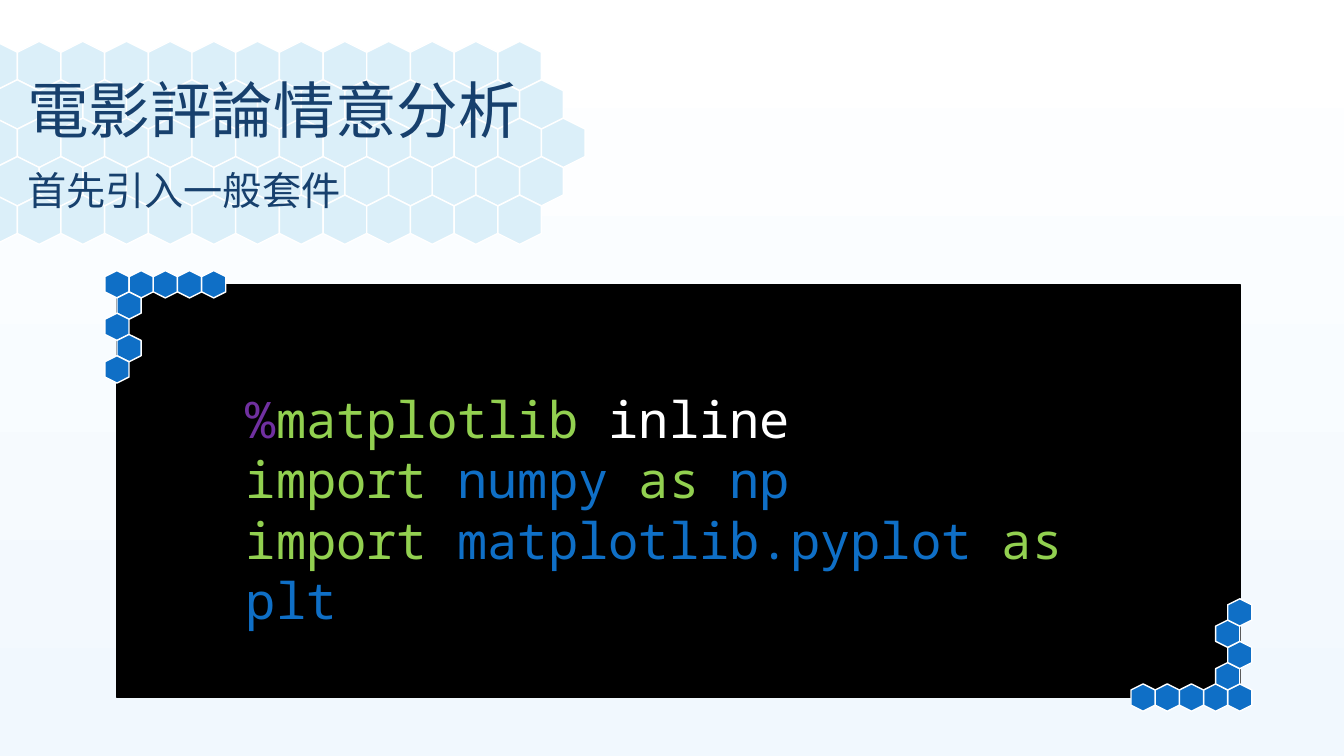
from lxml import etree
from pptx import Presentation
from pptx.dml.color import RGBColor
from pptx.enum.shapes import MSO_SHAPE
from pptx.enum.text import MSO_ANCHOR, PP_ALIGN
from pptx.oxml.ns import qn
from pptx.util import Inches, Pt

WIDTH, HEIGHT = Inches(13.33), Inches(7.5)

WHITE = RGBColor(0xFF, 0xFF, 0xFF)
BLACK = RGBColor(0x00, 0x00, 0x00)
MIST = RGBColor(0xF1, 0xF8, 0xFE)
PALE = RGBColor(0xDB, 0xEF, 0xF9)
NAVY = RGBColor(0x17, 0x40, 0x6D)
BLUE = RGBColor(0x0F, 0x6F, 0xC6)
GREEN = RGBColor(0x92, 0xD0, 0x50)
PURPLE = RGBColor(0x70, 0x30, 0xA0)

HEADING_FONT = "Noto Sans CJK SC"
CODE_FONT = "Noto Sans Mono"

# Left, top, width and height in percent of the slide
PANEL = (8.7, 37.6, 83.55, 54.67)
TITLE = (1.28, 8.93, 45.3, 12.27)
SUBTITLE = (1.28, 21.2, 52.06, 8.53)
CODE = (17.55, 50.67, 65.94, 25.6)

CODE_LINES = [
    [("%", PURPLE), ("matplotlib ", GREEN), ("inline", WHITE)],
    [("import ", GREEN), ("numpy", BLUE), (" as ", GREEN), ("np", BLUE)],
    [("import ", GREEN), ("matplotlib.pyplot ", BLUE), ("as ", GREEN), ("plt", BLUE)],
]

# (column, row) cells, in units of the honeycomb pitch; odd rows sit half a column in
ROW_LENGTHS = [13, 13, 14, 13, 13]
BANNER_CELLS = [(col + row % 2 / 2, row)
                for row, length in enumerate(ROW_LENGTHS) for col in range(length)]
CORNER_CELLS = ([(col, 0) for col in range(5)]
                + [(row % 2 / 2, row) for row in range(1, 5)])


def across(percent):
    return int(WIDTH * percent / 100)


def down(percent):
    return int(HEIGHT * percent / 100)


def box(left, top, width, height):
    return across(left), down(top), across(width), down(height)


def paint(sp, fill, line):
    sp.shadow.inherit = False
    sp.fill.solid()
    sp.fill.fore_color.rgb = fill
    sp.line.color.rgb = line
    sp.line.width = Pt(1)


def set_background(slide):
    fill = slide.background.fill
    fill.gradient()
    fill.gradient_angle = 270
    for stop, position, color in zip(fill.gradient_stops, (0, 1), (WHITE, MIST)):
        stop.position = position
        stop.color.rgb = color


def add_honeycomb(slide, cells, x, y, pitch, fill, rotation=90):
    """Group hexagons around the centre (x, y) of cell (0, 0); 270 degrees mirrors the growth."""
    group = slide.shapes.add_group_shape()
    sign = 1 if rotation == 90 else -1
    length = int(pitch * 1.13)
    for col, row in cells:
        center_x = x + sign * col * pitch
        center_y = y + sign * row * pitch * 0.88
        sp = group.shapes.add_shape(
            MSO_SHAPE.HEXAGON, int(center_x - length / 2), int(center_y - pitch / 2),
            length, pitch)
        sp.rotation = rotation
        paint(sp, fill, WHITE)


def add_text(slide, place, lines, font, size, anchor=MSO_ANCHOR.TOP, spacing=None):
    tf = slide.shapes.add_textbox(*box(*place)).text_frame
    tf.word_wrap = True
    tf.vertical_anchor = anchor
    for i, pieces in enumerate(lines):
        p = tf.paragraphs[0] if i == 0 else tf.add_paragraph()
        p.alignment = PP_ALIGN.LEFT
        p.line_spacing = spacing
        for text, color in pieces:
            r = p.add_run()
            r.text = text
            r.font.size = Pt(size)
            r.font.color.rgb = color
            r.font.name = font
            east_asian = etree.SubElement(r.font._element, qn("a:ea"))
            east_asian.set("typeface", font)


def main():
    prs = Presentation()
    prs.slide_width, prs.slide_height = WIDTH, HEIGHT
    slide = prs.slides.add_slide(prs.slide_layouts[6])
    set_background(slide)

    left, top, width, height = box(*PANEL)
    panel = slide.shapes.add_shape(MSO_SHAPE.RECTANGLE, left, top, width, height)
    paint(panel, BLACK, BLACK)

    small, large = across(1.8), across(3.25)
    add_honeycomb(slide, CORNER_CELLS, left, top, small, BLUE)
    add_honeycomb(slide, CORNER_CELLS, left + width, top + height, small, BLUE, rotation=270)
    add_honeycomb(slide, BANNER_CELLS, across(-0.34), down(8.73), large, PALE)

    add_text(slide, TITLE, [[("電影評論情意分析", NAVY)]], HEADING_FONT, 44,
             MSO_ANCHOR.MIDDLE, 0.9)
    add_text(slide, SUBTITLE, [[("首先引入一般套件", NAVY)]], HEADING_FONT, 28,
             MSO_ANCHOR.MIDDLE, 0.9)
    add_text(slide, CODE, CODE_LINES, CODE_FONT, 36)

    prs.save("out.pptx")


if __name__ == "__main__":
    main()
